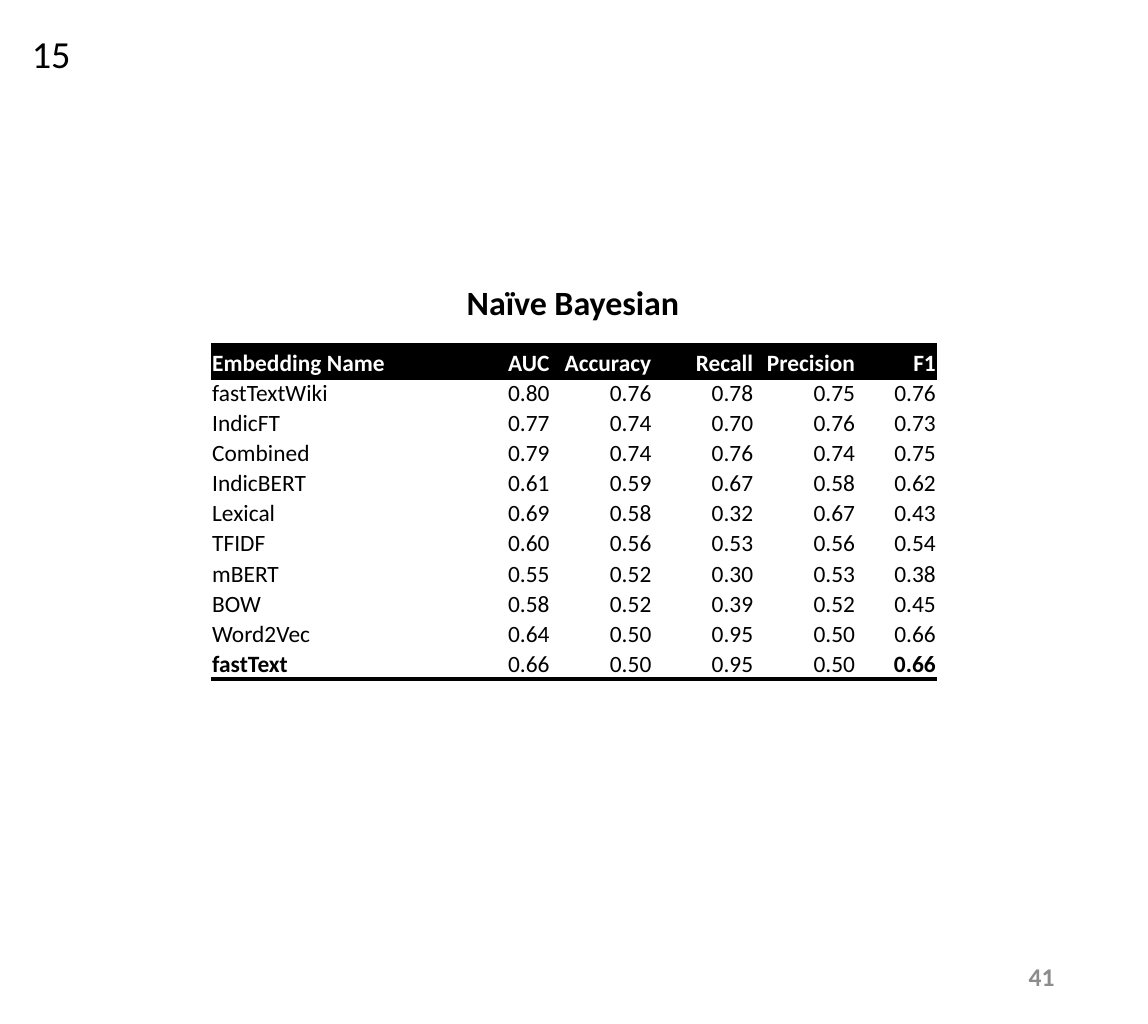
from lxml import etree
from pptx import Presentation
from pptx.dml.color import RGBColor
from pptx.enum.text import MSO_ANCHOR, MSO_AUTO_SIZE, PP_ALIGN
from pptx.oxml.ns import qn
from pptx.util import Cm, Pt

LEFT, CENTER, RIGHT = PP_ALIGN.LEFT, PP_ALIGN.CENTER, PP_ALIGN.RIGHT
TOP, MIDDLE, BOTTOM = MSO_ANCHOR.TOP, MSO_ANCHOR.MIDDLE, MSO_ANCHOR.BOTTOM
NO_AUTOFIT = MSO_AUTO_SIZE.NONE
BLACK, WHITE, GRAY = "000000", "FFFFFF", "8C8C8C"
PLAIN_TABLE_STYLE = "{2D5ABB26-0587-4C30-8999-92F81FD0307C}"
RULE_WIDTH = Pt(2)


def write_text(frame, text, size=11, color=BLACK, bold=False, align=LEFT):
    para = frame.paragraphs[0]
    para.alignment = align
    span = para.add_run()
    span.text = text
    span.font.name = "Calibri"
    span.font.size = Pt(size)
    span.font.bold = bold
    span.font.color.rgb = RGBColor.from_string(color)


def add_rule(cell, edge):
    properties = cell._tc.get_or_add_tcPr()
    line = etree.SubElement(properties, qn(f"a:{edge}"), w=str(RULE_WIDTH))
    fill = etree.SubElement(line, qn("a:solidFill"))
    etree.SubElement(fill, qn("a:srgbClr"), val=BLACK)


deck = Presentation()
deck.slide_width, deck.slide_height = Cm(19.05), Cm(17)
page = deck.slides.add_slide(deck.slide_layouts[5])

title = page.shapes.title
title.left, title.top, title.width, title.height = Cm(4.29), Cm(4.55), Cm(10.44), Cm(0.94)
title.text_frame.auto_size = NO_AUTOFIT
title.text_frame.vertical_anchor = TOP
write_text(title.text_frame, "Naïve Bayesian", size=16, bold=True, align=CENTER)

page_number = page.shapes.add_textbox(Cm(13.46), Cm(15.75), Cm(4.29), Cm(0.91))
page_number.text_frame.word_wrap = True
page_number.text_frame.vertical_anchor = MIDDLE
write_text(page_number.text_frame, "41", size=12, color=GRAY, bold=True, align=RIGHT)

item_number = page.shapes.add_textbox(Cm(0.28), Cm(0.38), Cm(1.17), Cm(1.02))
item_number.text_frame.word_wrap = False
write_text(item_number.text_frame, "15", size=18)

scores = [
    ("Embedding Name", "AUC", "Accuracy", "Recall", "Precision", "F1"),
    ("fastTextWiki", "0.80", "0.76", "0.78", "0.75", "0.76"),
    ("IndicFT", "0.77", "0.74", "0.70", "0.76", "0.73"),
    ("Combined", "0.79", "0.74", "0.76", "0.74", "0.75"),
    ("IndicBERT", "0.61", "0.59", "0.67", "0.58", "0.62"),
    ("Lexical", "0.69", "0.58", "0.32", "0.67", "0.43"),
    ("TFIDF", "0.60", "0.56", "0.53", "0.56", "0.54"),
    ("mBERT", "0.55", "0.52", "0.30", "0.53", "0.38"),
    ("BOW", "0.58", "0.52", "0.39", "0.52", "0.45"),
    ("Word2Vec", "0.64", "0.50", "0.95", "0.50", "0.66"),
    ("fastText", "0.66", "0.50", "0.95", "0.50", "0.66"),
]
column_widths = [3.95, 1.69, 1.69, 1.69, 1.69, 1.34]
last_row, last_column = len(scores) - 1, len(column_widths) - 1

table_frame = page.shapes.add_table(
    len(scores), len(column_widths), Cm(3.5), Cm(5.73), Cm(sum(column_widths)), Cm(5.54)
)
table = table_frame.table
table.first_row = table.horz_banding = False
table_frame._element.find(f".//{qn('a:tableStyleId')}").text = PLAIN_TABLE_STYLE
for column, width in zip(table.columns, column_widths):
    column.width = Cm(width)

for row_index, values in enumerate(scores):
    is_header, is_last = row_index == 0, row_index == last_row
    table.rows[row_index].height = Cm(0.54 if is_header else 0.5)
    for column_index, value in enumerate(values):
        cell = table.cell(row_index, column_index)
        cell.margin_left = cell.margin_right = cell.margin_top = Cm(0.02)
        cell.margin_bottom = 0
        cell.vertical_anchor = BOTTOM
        if is_header:
            add_rule(cell, "lnT")
        if is_header or is_last:
            add_rule(cell, "lnB")
        cell.fill.solid()
        cell.fill.fore_color.rgb = RGBColor.from_string(BLACK if is_header else WHITE)
        write_text(
            cell.text_frame,
            value,
            color=WHITE if is_header else BLACK,
            bold=is_header or (is_last and column_index in (0, last_column)),
            align=RIGHT if column_index else LEFT,
        )

deck.save("out.pptx")
